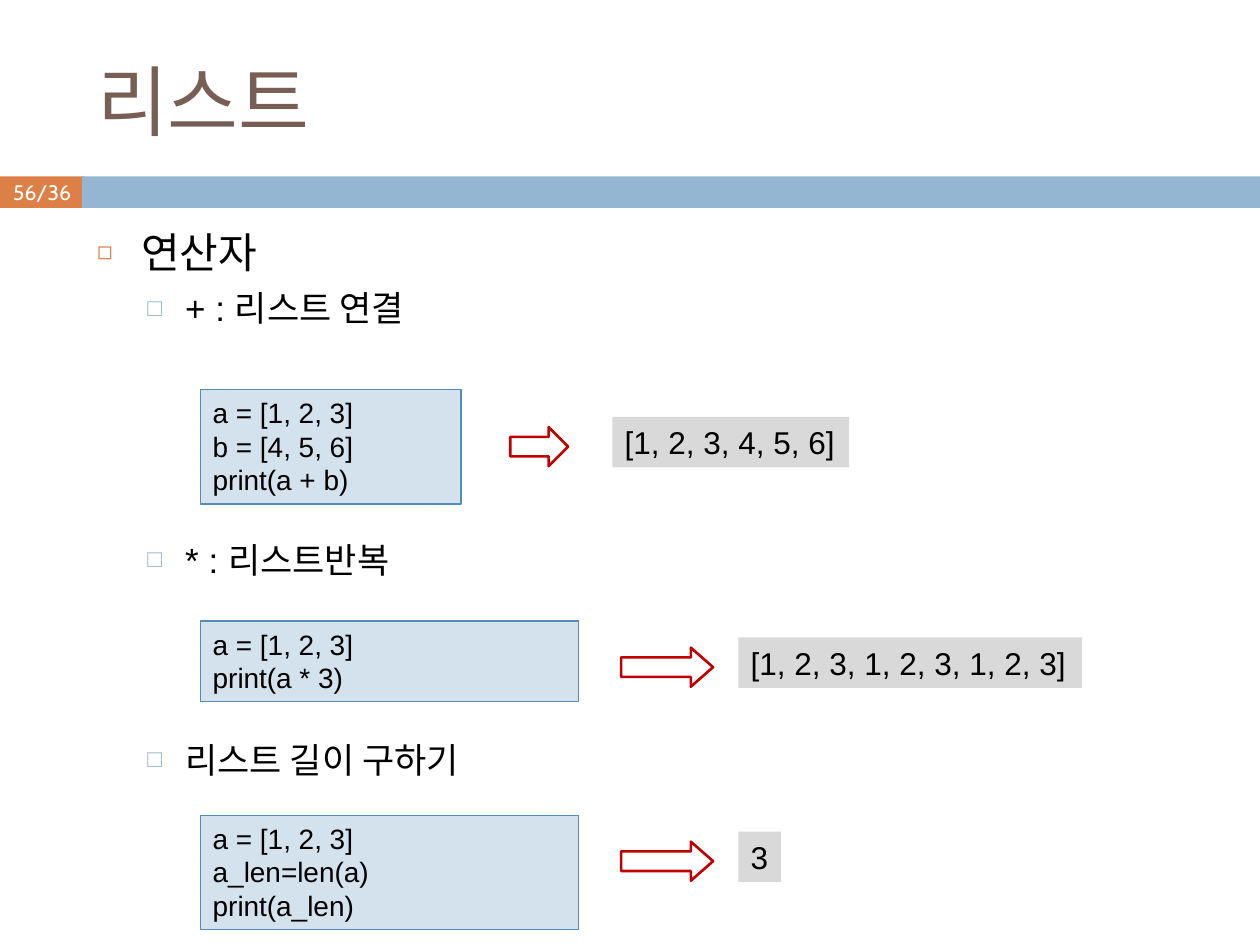
import pptx
import pptx.util
import pptx.dml.color
import pptx.enum.shapes
import pptx.enum.text
import pptx.oxml

Inches, Pt = pptx.util.Inches, pptx.util.Pt
SHAPE = pptx.enum.shapes.MSO_SHAPE
ALIGN = pptx.enum.text.PP_ALIGN
ANCHOR = pptx.enum.text.MSO_ANCHOR
FIT = pptx.enum.text.MSO_AUTO_SIZE
NS = 'xmlns:a="http://schemas.openxmlformats.org/drawingml/2006/main"'

# Content
TITLE = "리스트"
PAGE = "56/36"
# text, level, space before in points (leaves room for the examples)
BULLETS = [
    ("연산자", 0, 0),
    ("+ : 리스트 연결", 1, 5.5),
    ("* : 리스트반복", 1, 119.5),
    ("리스트 길이 구하기", 1, 90.5),
]
# size, left margin, hanging indent, bullet, bullet colour, bullet percent
LEVELS = [
    (24, 0.35, 0.35, "◻", "DD8047", 60),
    (20, 0.7, 0.3, "□", "94B6D2", 70),
]
WIDE = dict(code_w=3, arrow=(4.93, 0.73, 0.57), result_x=5.86, drop=0.13)
EXAMPLES = [
    dict(top=3.09, code=["a = [1, 2, 3]", "b = [4, 5, 6]", "print(a + b)"],
         result="[1, 2, 3, 4, 5, 6]", result_w=1.88,
         code_w=2.07, arrow=(4.05, 0.46, 0.5), result_x=4.86, drop=0.22),
    dict(WIDE, top=4.93, code=["a = [1, 2, 3]", "print(a * 3)"],
         result="[1, 2, 3, 1, 2, 3, 1, 2, 3]", result_w=2.73),
    dict(WIDE, top=6.47, code=["a = [1, 2, 3]", "a_len=len(a)", "print(a_len)"],
         result="3", result_w=0.34),
]
CODE_X, LINE_H, INSET = 1.59, 0.27, 0.05
RESULT_H, ARROW_H, ARROW_DROP = 0.4, 0.31, 0.08


def rgb(color):
    return pptx.dml.color.RGBColor.from_string(color)


def write(p, text, size=16, font="Arial", color="000000", align=ALIGN.LEFT, before=0):
    p.alignment, p.space_before = align, Pt(before)
    r = p.add_run()
    r.text = text
    r.font.size, r.font.name = Pt(size), font
    r.font.color.rgb = rgb(color)


def draw(shapes, kind, x, y, w, h, fill=None, line=None, weight=0.75):
    s = shapes.add_shape(kind, Inches(x), Inches(y), Inches(w), Inches(h))
    s.shadow.inherit = False
    if fill:
        s.fill.solid()
        s.fill.fore_color.rgb = rgb(fill)
    else:
        s.fill.background()
    if line:
        s.line.color.rgb = rgb(line)
        s.line.width = Pt(weight)
    else:
        s.line.fill.background()
    return s


def fill_lines(s, lines, wrap, **fmt):
    tf = s.text_frame
    tf.word_wrap, tf.auto_size = wrap, FIT.SHAPE_TO_FIT_TEXT
    tf.vertical_anchor = ANCHOR.TOP
    for i, text in enumerate(lines):
        write(tf.add_paragraph() if i else tf.paragraphs[0], text, **fmt)


def place(s, x, y, w, h, anchor):
    s.left, s.top, s.width, s.height = map(Inches, (x, y, w, h))
    s.text_frame.auto_size = FIT.NONE
    s.text_frame.vertical_anchor = anchor
    return s.text_frame


def add_bullet(p, margin, hang, char, color, percent):
    pPr = p._p.get_or_add_pPr()
    pPr.set("marL", str(Inches(margin)))
    pPr.set("indent", str(-Inches(hang)))
    for xml in (f'<a:buClr {NS}><a:srgbClr val="{color}"/></a:buClr>',
                f'<a:buSzPct {NS} val="{percent * 1000}"/>',
                f'<a:buChar {NS} char="{char}"/>'):
        pPr.append(pptx.oxml.parse_xml(xml))


def add_example(slide, ex):
    shapes = slide.shapes.add_group_shape().shapes
    height = 2 * INSET + LINE_H * len(ex["code"])
    code = draw(shapes, SHAPE.RECTANGLE, CODE_X, ex["top"], ex["code_w"], height,
                "D4E2ED", "558BB8")
    fill_lines(code, ex["code"], True)
    y = ex["top"] + ex["drop"]
    result = draw(shapes, SHAPE.RECTANGLE, ex["result_x"], y, ex["result_w"],
                  RESULT_H, "D9D9D9")
    fill_lines(result, [ex["result"]], False, size=18)
    x, w, head = ex["arrow"]
    arrow = draw(shapes, SHAPE.RIGHT_ARROW, x, y + ARROW_DROP, w, ARROW_H,
                 line="C00000", weight=1.5)
    arrow.adjustments[1] = head


def main():
    prs = pptx.Presentation()
    prs.slide_width, prs.slide_height = Inches(10), Inches(7.5)
    slide = prs.slides.add_slide(prs.slide_layouts[1])

    # Title
    tf = place(slide.shapes.title, 0.67, 0.25, 8.92, 1.08, ANCHOR.MIDDLE)
    write(tf.paragraphs[0], TITLE, size=44, font="Cabin", color="775F55")

    # Band with page number
    page = draw(slide.shapes, SHAPE.RECTANGLE, 0, 1.4, 0.67, 0.25, "DD8047")
    page.text_frame.word_wrap = False
    write(page.text_frame.paragraphs[0], PAGE, size=12, font="Cabin",
          color="FFFFFF", align=ALIGN.CENTER)
    draw(slide.shapes, SHAPE.RECTANGLE, 0.65, 1.4, 9.35, 0.25, "94B6D2")

    # Bulleted list
    tf = place(slide.placeholders[1], 0.67, 1.75, 8.92, 5.5, ANCHOR.TOP)
    for i, (text, level, before) in enumerate(BULLETS):
        p = tf.add_paragraph() if i else tf.paragraphs[0]
        p.level = level
        size, *bullet = LEVELS[level]
        add_bullet(p, *bullet)
        write(p, text, size=size, before=before)

    # Code, arrow and result
    for ex in EXAMPLES:
        add_example(slide, ex)

    prs.save("out.pptx")


if __name__ == "__main__":
    main()
